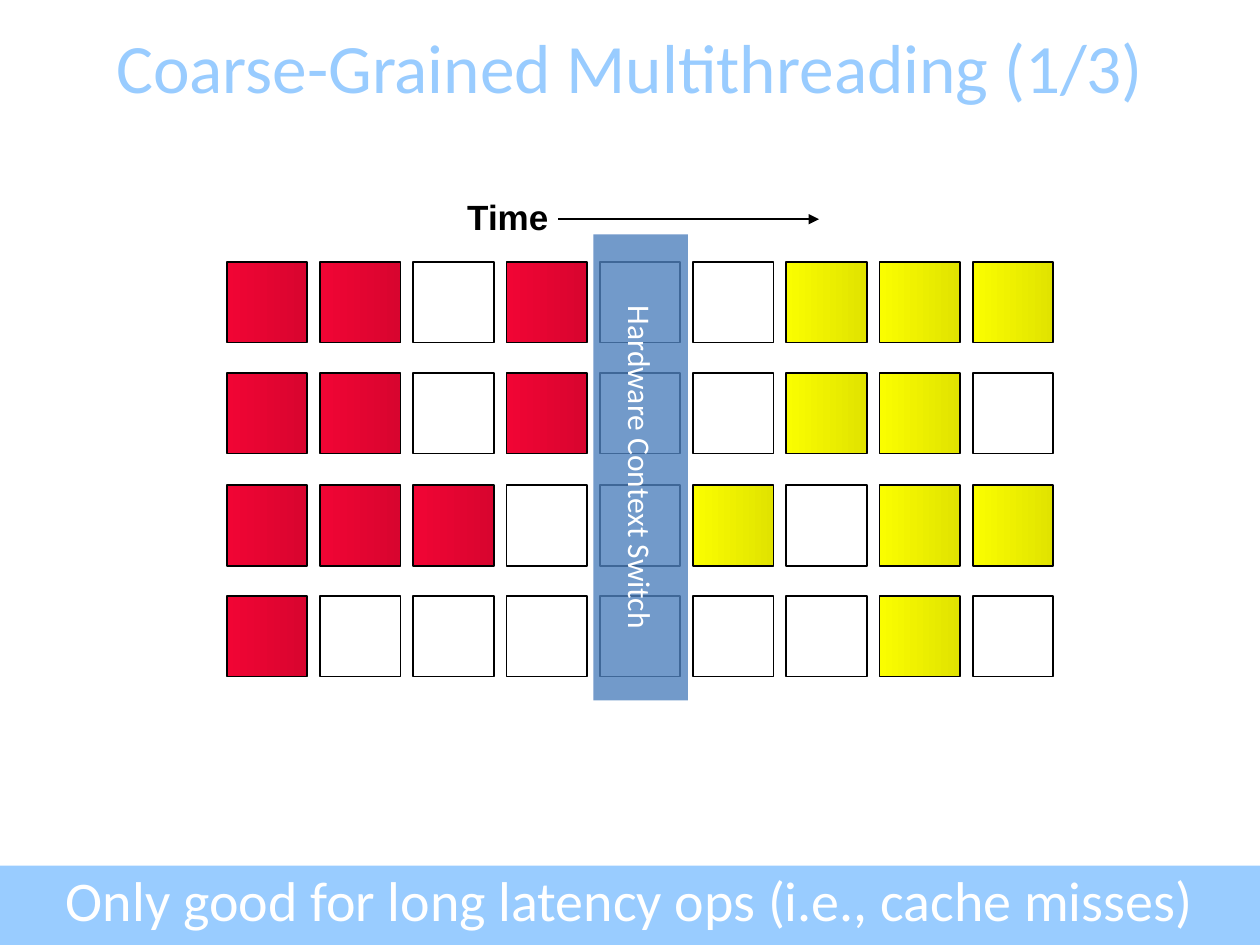
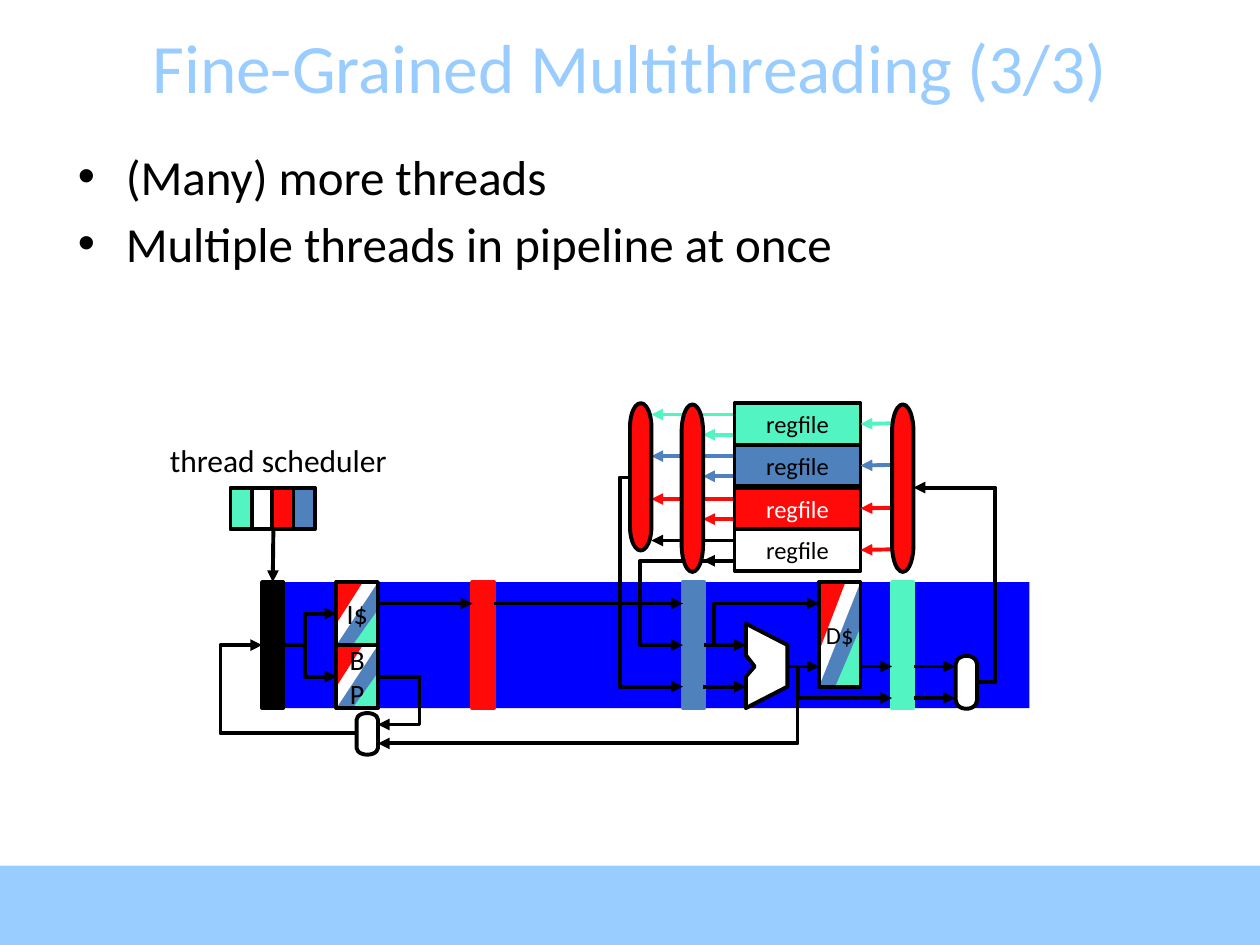
from dataclasses import dataclass
from typing import NamedTuple

from lxml.etree import SubElement
from pptx import Presentation
from pptx.dml.color import RGBColor
from pptx.enum.shapes import MSO_CONNECTOR, MSO_SHAPE
from pptx.enum.text import MSO_ANCHOR, PP_ALIGN
from pptx.oxml.ns import qn
from pptx.shapes.autoshape import Shape
from pptx.shapes.connector import Connector
from pptx.slide import Slide
from pptx.util import Emu, Pt

PX = 9144  # 100 px to the inch


@dataclass(frozen=True)
class Theme:
    sky: str = "99CCFF"
    white: str = "FFFFFF"
    black: str = "000000"
    red: str = "FF0909"
    blue: str = "4F81BD"
    teal: str = "52F4C2"
    pipeline: str = "0000FF"
    thread_a: tuple[str, str] = ("F10534", "D8052F")
    thread_b: tuple[str, str] = ("FAFD00", "E1E300")
    font: str = "Calibri"
    label_font: str = "Arial"
    title: float = 39.6
    banner: float = 32
    body: float = 28
    time: float = 20
    label: float = 18
    cache: float = 16
    small: float = 14
    thin: float = 1
    thick: float = 2.25


T = Theme()


class Box(NamedTuple):
    x: int
    y: int
    w: int
    h: int

    def emu(self) -> list[Emu]:
        return [Emu(v * PX) for v in self]


class Wire(NamedTuple):
    points: list[tuple[int, int]]
    color: str = T.black
    width: float = T.thick
    arrow: bool = True


class Text(NamedTuple):
    lines: list[str]
    size: float
    color: str = T.black
    font: str = T.font
    bold: bool = False
    align: PP_ALIGN = PP_ALIGN.CENTER
    anchor: MSO_ANCHOR = MSO_ANCHOR.MIDDLE
    wrap: bool = True


def rgb(color: str) -> RGBColor:
    return RGBColor.from_string(color)


def write(sp: Shape, text: Text) -> None:
    tf = sp.text_frame
    tf.word_wrap = text.wrap
    tf.vertical_anchor = text.anchor
    for i, line in enumerate(text.lines):
        p = tf.add_paragraph() if i else tf.paragraphs[0]
        p.alignment = text.align
        r = p.add_run()
        r.text = line
        r.font.name, r.font.size, r.font.bold = text.font, Pt(text.size), text.bold
        r.font.color.rgb = rgb(text.color)


def textbox(s: Slide, box: Box, text: Text) -> Shape:
    sp = s.shapes.add_textbox(*box.emu())
    write(sp, text)
    return sp


def paint(sp: Shape, fill: str | tuple[str, str] | None, line: str | None, width: float) -> None:
    sp.shadow.inherit = False
    if fill is None:
        sp.fill.background()
    elif isinstance(fill, tuple):
        sp.fill.gradient()
        sp.fill.gradient_angle = 0
        for stop, color in zip(sp.fill.gradient_stops, fill):
            stop.color.rgb = rgb(color)
    else:
        sp.fill.solid()
        sp.fill.fore_color.rgb = rgb(fill)
    if line is None:
        sp.line.fill.background()
    else:
        sp.line.color.rgb = rgb(line)
        sp.line.width = Pt(width)


def shape(s: Slide, box: Box, fill: str | tuple[str, str] | None = None,
          line: str | None = None, width: float = T.thick,
          kind: MSO_SHAPE = MSO_SHAPE.RECTANGLE, text: Text | None = None,
          flip: str = "", rotation: int = 0) -> Shape:
    sp = s.shapes.add_shape(kind, *box.emu())
    paint(sp, fill, line, width)
    sp.rotation = rotation
    for axis in flip:
        sp.element.spPr.find(qn("a:xfrm")).set(f"flip{axis}", "1")
    if text:
        write(sp, text)
    return sp


def outline(s: Slide, points: list[tuple[int, int]], close: bool) -> Shape:
    builder = s.shapes.build_freeform(*points[0], scale=float(PX))
    builder.add_line_segments(points[1:], close=close)
    return builder.convert_to_shape()


def draw_wire(s: Slide, wire: Wire) -> Shape | Connector:
    if len(wire.points) == 2:
        (x1, y1), (x2, y2) = wire.points
        sp = s.shapes.add_connector(MSO_CONNECTOR.STRAIGHT, x1 * PX, y1 * PX, x2 * PX, y2 * PX)
        sp.line.color.rgb = rgb(wire.color)
        sp.line.width = Pt(wire.width)
        SubElement(sp.element.spPr, qn("a:effectLst"))
    else:
        sp = outline(s, wire.points, close=False)
        paint(sp, None, wire.color, wire.width)
    if wire.arrow:
        SubElement(sp.element.spPr.find(qn("a:ln")), qn("a:tailEnd"), type="triangle")
    return sp


def new_slide(prs: Presentation, title: str) -> Slide:
    s = prs.slides.add_slide(prs.slide_layouts[6])
    shape(s, Box(0, 687, 1000, 63), T.sky)
    textbox(s, Box(0, 21, 1000, 63), Text([title], T.title, T.sky))
    return s


# Slide 1: issue slots over time
ISSUE_SLOTS = [
    "AA.A..BBB",
    "AA.A..BB.",
    "AAA..B.BB",
    "A......B.",
]


def coarse_grained(prs: Presentation) -> None:
    s = new_slide(prs, "Coarse-Grained Multithreading (1/3)")
    fills = {"A": T.thread_a, "B": T.thread_b, ".": None}
    for row, slots in enumerate(ISSUE_SLOTS):
        for col, thread in enumerate(slots):
            box = Box(180 + 74 * col, 208 + round(88.3 * row), 64, 64)
            shape(s, box, fills[thread], T.black, T.thin)

    # Time axis
    textbox(s, Box(361, 150, 89, 43), Text(["Time"], T.time, font=T.label_font, bold=True,
                                           align=PP_ALIGN.LEFT, anchor=MSO_ANCHOR.TOP))
    draw_wire(s, Wire([(443, 174), (650, 174)], width=T.thin))

    # Context switch bar
    bar = shape(s, Box(471, 186, 75, 370), T.blue,
                text=Text(["Hardware Context Switch"], T.label, T.white))
    bar.element.txBody.bodyPr.set("vert", "vert")
    color = bar.element.spPr.find(qn("a:solidFill")).find(qn("a:srgbClr"))
    SubElement(color, qn("a:alpha"), val="80000")

    textbox(s, Box(0, 682, 1000, 63),
            Text(["Only good for long latency ops (i.e., cache misses)"], T.banner, T.white,
                 anchor=MSO_ANCHOR.TOP))


# Slide 2: pipeline datapath
ALU = [(592, 495), (592, 520), (599, 529), (592, 537), (592, 562), (625, 545), (625, 512)]

DATAPATH = [
    Wire([(725, 529), (758, 529)]),
    Wire([(725, 554), (758, 554)]),
    Wire([(683, 529), (708, 529)]),
    Wire([(558, 545), (592, 545)]),
    Wire([(567, 512), (567, 479), (650, 479)]),
    Wire([(633, 529), (633, 554), (708, 554)]),
    Wire([(242, 520), (242, 487), (267, 487)]),
    Wire([(242, 520), (242, 537), (267, 537)]),
    Wire([(300, 479), (375, 479)]),
    Wire([(392, 479), (542, 479)]),
    Wire([(625, 529), (650, 529)]),
    Wire([(776, 541), (790, 541), (790, 387), (725, 387)]),
    Wire([(583, 445), (508, 445), (508, 512), (542, 512)]),
    Wire([(501, 379), (492, 379), (492, 545), (542, 545)]),
]
NEXT_PC = [
    Wire([(300, 537), (333, 537), (333, 575), (300, 575)]),
    Wire([(633, 529), (633, 590), (300, 590)]),
    Wire([(283, 582), (175, 582), (175, 512), (208, 512)]),
]


def mux(s: Slide, box: Box, fill: str) -> None:
    shape(s, box, fill, T.black, kind=MSO_SHAPE.FLOWCHART_TERMINATOR, rotation=90)


def cache(s: Slide, box: Box, text: Text) -> None:
    """Block shared by all threads, striped in their colours."""
    x, y, w, h = box
    red_h, teal_h = round(0.66 * h), round(0.57 * h)
    stripe, corner = MSO_SHAPE.DIAGONAL_STRIPE, MSO_SHAPE.RIGHT_TRIANGLE
    shape(s, box, T.blue, kind=stripe, flip="HV")
    shape(s, box, T.white, kind=stripe)
    shape(s, Box(x, y, 21, red_h), T.red, kind=corner, flip="V")
    shape(s, Box(x + w - 20, y + h - teal_h, 20, teal_h), T.teal, kind=corner, flip="H")
    shape(s, box, None, T.black, text=text)


def fine_grained(prs: Presentation) -> None:
    s = new_slide(prs, "Fine-Grained Multithreading (3/3)")

    # Bullets
    body = textbox(s, Box(52, 111, 900, 150),
                   Text(["(Many) more threads", "Multiple threads in pipeline at once"], T.body,
                        align=PP_ALIGN.LEFT, anchor=MSO_ANCHOR.TOP))
    for p in body.text_frame.paragraphs:
        p.space_before = Pt(5)
        pPr = p._p.get_or_add_pPr()
        pPr.set("marL", str(38 * PX))
        pPr.set("indent", str(-38 * PX))
        SubElement(pPr, qn("a:buFont"), typeface=T.label_font)
        SubElement(pPr, qn("a:buChar"), char="•")

    # Pipeline, ALU and latches
    shape(s, Box(225, 462, 592, 100), T.pipeline)
    paint(outline(s, ALU, close=True), T.white, T.black, T.thick)
    fetch, _, execute, _ = [
        shape(s, Box(x, 462, 17, 100), color, color)
        for x, color in zip((208, 375, 542, 708), (T.black, T.red, T.blue, T.teal))]
    for wire in DATAPATH:
        draw_wire(s, wire)
    draw_wire(s, Wire([(225, 512), (242, 512)], arrow=False)).begin_connect(fetch, 3)
    draw_wire(s, Wire([(559, 512), (592, 512)])).begin_connect(execute, 3)

    # Register files: two read ports on the left, one write port on the right
    threads = [
        (T.teal, T.black, T.teal, T.teal),
        (T.blue, T.black, T.blue, T.blue),
        (T.red, T.white, T.red, T.red),
        (T.white, T.black, T.black, T.red),
    ]
    for i, (fill, ink, read, store) in enumerate(threads):
        y = 320 + round(33.4 * i)
        draw_wire(s, Wire([(583, y + 9), (517, y + 9)], read))
        draw_wire(s, Wire([(583, y + 25), (558, y + 25)], read))
        regfile = shape(s, Box(583, y, 100, 33), fill, T.black,
                        text=Text(["regfile"], T.small, ink, wrap=False))
        draw_wire(s, Wire([(708, y + 16), (683, y + 16)], store)).end_connect(regfile, 3)

    # Multiplexers
    for x, y, length in ((450, 370, 117), (483, 379, 133), (650, 379, 133)):
        mux(s, Box(x, y, length, 17), T.red)
    mux(s, Box(746, 533, 42, 17), T.white)
    mux(s, Box(275, 574, 33, 17), T.white)

    # Thread scheduler
    for i, color in enumerate((T.teal, T.white, T.red, T.blue)):
        shape(s, Box(183 + round(16.7 * i), 387, 17, 33), color, T.black)
    draw_wire(s, Wire([(217, 420), (217, 462)])).end_connect(fetch, 0)
    textbox(s, Box(125, 345, 206, 40), Text(["thread scheduler"], T.label,
                                            align=PP_ALIGN.LEFT, anchor=MSO_ANCHOR.TOP))

    # Caches and branch predictor
    cache(s, Box(267, 462, 33, 50), Text(["I$"], T.cache, wrap=False))
    cache(s, Box(267, 512, 33, 50), Text(["B", "P"], T.cache, wrap=False))
    cache(s, Box(650, 462, 33, 83), Text(["D$"], T.small, wrap=False))
    for wire in NEXT_PC:
        draw_wire(s, wire)


def main() -> None:
    prs = Presentation()
    prs.slide_width, prs.slide_height = Emu(1000 * PX), Emu(750 * PX)
    coarse_grained(prs)
    fine_grained(prs)
    prs.save("out.pptx")


if __name__ == "__main__":
    main()
